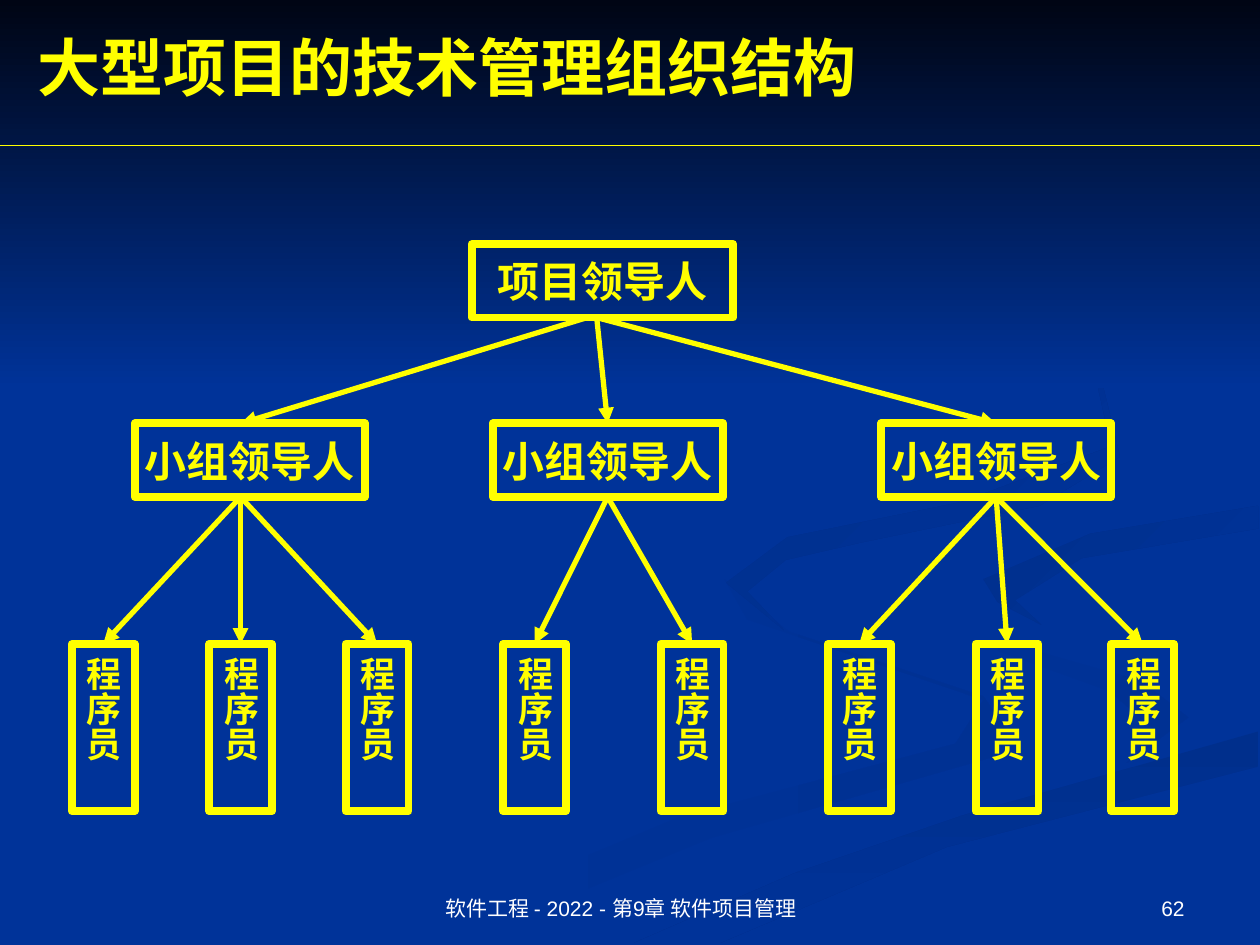
"""Builds a slide showing the technical management structure of a large project."""
from dataclasses import dataclass

from lxml.etree import SubElement
from pptx import Presentation
from pptx.dml.color import RGBColor
from pptx.enum.shapes import MSO_CONNECTOR, MSO_SHAPE
from pptx.enum.text import MSO_ANCHOR, PP_ALIGN
from pptx.oxml.ns import qn
from pptx.util import Pt

YELLOW = RGBColor(0xFF, 0xFF, 0x00)
WHITE = RGBColor(0xFF, 0xFF, 0xFF)
BLUE = RGBColor(0x00, 0x33, 0x99)
NIGHT = RGBColor(0x00, 0x05, 0x14)
SHADE = RGBColor(0x00, 0x2F, 0x8C)
SOFT_SHADE = RGBColor(0x00, 0x31, 0x93)

HEADING = {"size": Pt(36), "name": "Times New Roman", "bold": True}
LEADER = {"size": Pt(24), "name": "Times New Roman", "bold": True}
MEMBER = {"size": Pt(20), "name": "Times New Roman", "bold": True}
FOOTER = {"size": Pt(12), "name": "Arial", "bold": False}

WIDTH, HEIGHT = 720, 540
LEADER_TOP, TEAM_TOP, MEMBER_TOP = 139.5, 242, 368
LEADER_HEIGHT, TEAM_WIDTH, MEMBER_WIDTH = 42, 131.5, 36


@dataclass
class Ribbon:
    """A curved background band with its gradient."""
    points: list
    start: RGBColor
    end: RGBColor
    angle: int


@dataclass
class Team:
    """A team leader box, its programmers and the ends of its arrows."""
    left: float
    members: list
    hub: float | None = None
    source: float = 341


@dataclass
class Label:
    """A plain text box."""
    text: str
    box: tuple
    font: dict
    color: RGBColor
    align: PP_ALIGN
    anchor: MSO_ANCHOR


RIBBONS = [
    Ribbon([(562, 398), (451, 361), (414, 331), (427, 354), (562, 400), (546, 425),
            (388, 467), (216, 539), (260, 539), (406, 479), (566, 433), (576, 418)],
           BLUE, SOFT_SHADE, 0),
    Ribbon([(679, 410), (652, 389), (546, 359), (521, 334), (537, 360), (634, 395),
            (661, 418), (644, 436)], BLUE, SOFT_SHADE, 315),
    Ribbon([(362, 539), (411, 539), (541, 484), (719, 438), (719, 418), (550, 466),
            (454, 499)], SHADE, BLUE, 270),
    Ribbon([(562, 331), (570, 344), (595, 357), (580, 343), (618, 319), (719, 302),
            (719, 289), (623, 305)], SHADE, BLUE, 315),
    Ribbon([(492, 310), (594, 289), (640, 261), (629, 215), (549, 168), (626, 215),
            (635, 255), (549, 287), (450, 307), (415, 333), (448, 360), (427, 338),
            (449, 320)], SHADE, BLUE, 315),
]

TEAMS = [
    Team(77, [41, 119.5, 197.5], hub=137.5, source=335.5),
    Team(281.5, [287.5, 377.5]),
    Team(503.5, [473, 557.5, 635]),
]

LABELS = [
    Label("大型项目的技术管理组织结构", (14.5, 10, 705.5, 55.5), HEADING, YELLOW,
          PP_ALIGN.LEFT, MSO_ANCHOR.MIDDLE),
    Label("软件工程 - 2022 - 第9章 软件项目管理", (235.5, 492, 238.5, 37.5), FOOTER, WHITE,
          PP_ALIGN.CENTER, MSO_ANCHOR.BOTTOM),
    Label("62", (516, 492, 168, 37.5), FOOTER, WHITE, PP_ALIGN.RIGHT, MSO_ANCHOR.BOTTOM),
]


def write(sp, text: str, font: dict, color: RGBColor, align, anchor, wrap: bool) -> None:
    """Put one formatted paragraph into a shape."""
    tf = sp.text_frame
    tf.word_wrap = wrap
    tf.vertical_anchor = anchor
    p = tf.paragraphs[0]
    p.alignment = align
    r = p.add_run()
    r.text = text
    for key, value in font.items():
        setattr(r.font, key, value)
    r.font.color.rgb = color


def shade(sp, start: RGBColor, end: RGBColor, angle: int) -> None:
    """Give a shape a two-colour gradient and no outline."""
    sp.shadow.inherit = False
    sp.line.fill.background()
    sp.fill.gradient()
    sp.fill.gradient_angle = angle
    for stop, color in zip(sp.fill.gradient_stops, (start, end)):
        stop.color.rgb = color


def add_ribbon(s, ribbon: Ribbon) -> None:
    """Draw a background band."""
    points = [(Pt(x), Pt(y)) for x, y in ribbon.points]
    builder = s.shapes.build_freeform(*points[0])
    builder.add_line_segments(points[1:], close=True)
    shade(builder.convert_to_shape(), ribbon.start, ribbon.end, ribbon.angle)


def add_box(s, text: str, box: tuple, font: dict, vertical: bool = False):
    """Draw an outlined box with centred text and return it."""
    sp = s.shapes.add_shape(MSO_SHAPE.RECTANGLE, *map(Pt, box))
    sp.shadow.inherit = False
    sp.fill.background()
    sp.line.color.rgb = YELLOW
    sp.line.width = Pt(4.5)
    write(sp, text, font, YELLOW, PP_ALIGN.CENTER, MSO_ANCHOR.MIDDLE, False)
    if vertical:
        sp.element.txBody.bodyPr.set("vert", "eaVert")
    return sp


def add_line(s, start: tuple, end: tuple, width: float, arrow: bool = True):
    """Draw a straight yellow line and return it."""
    line = s.shapes.add_connector(MSO_CONNECTOR.STRAIGHT, *map(Pt, start + end))
    line.line.color.rgb = YELLOW
    line.line.width = Pt(width)
    if arrow:
        SubElement(line.element.spPr.find(qn("a:ln")), qn("a:tailEnd"), type="triangle")
    SubElement(line.element.spPr, qn("a:effectLst"))
    return line


def add_team(s, team: Team) -> None:
    """Draw a team leader, its programmers and the arrows to them."""
    hub = team.hub or team.left + TEAM_WIDTH / 2
    leader = add_box(s, "小组领导人", (team.left, TEAM_TOP, TEAM_WIDTH, LEADER_HEIGHT), LEADER)
    arrow = add_line(s, (team.source, LEADER_TOP + LEADER_HEIGHT), (hub, TEAM_TOP), 3)
    if team.hub is None:
        arrow.end_connect(leader, 0)
    for left in team.members:
        member = add_box(s, "程序员", (left, MEMBER_TOP, MEMBER_WIDTH, 95.5), MEMBER, True)
        arrow = add_line(s, (hub, TEAM_TOP + LEADER_HEIGHT),
                         (left + MEMBER_WIDTH / 2, MEMBER_TOP), 3)
        arrow.end_connect(member, 0)
        if team.hub is None:
            arrow.begin_connect(leader, 2)


def main() -> None:
    """Build and save the slide."""
    prs = Presentation()
    prs.slide_width, prs.slide_height = Pt(WIDTH), Pt(HEIGHT)
    s = prs.slides.add_slide(prs.slide_layouts[6])
    s.background.fill.solid()
    s.background.fill.fore_color.rgb = BLUE
    for ribbon in RIBBONS:
        add_ribbon(s, ribbon)
    sky = s.shapes.add_shape(MSO_SHAPE.RECTANGLE, 0, 0, Pt(WIDTH), Pt(222))
    shade(sky, NIGHT, BLUE, 270)
    add_line(s, (0, 83), (WIDTH, 83), 0.75, arrow=False)
    add_box(s, "项目领导人", (269.5, LEADER_TOP, 149.5, LEADER_HEIGHT), LEADER)
    for team in TEAMS:
        add_team(s, team)
    for label in LABELS:
        sp = s.shapes.add_textbox(*map(Pt, label.box))
        write(sp, label.text, label.font, label.color, label.align, label.anchor, True)
    prs.save("out.pptx")


if __name__ == "__main__":
    main()
